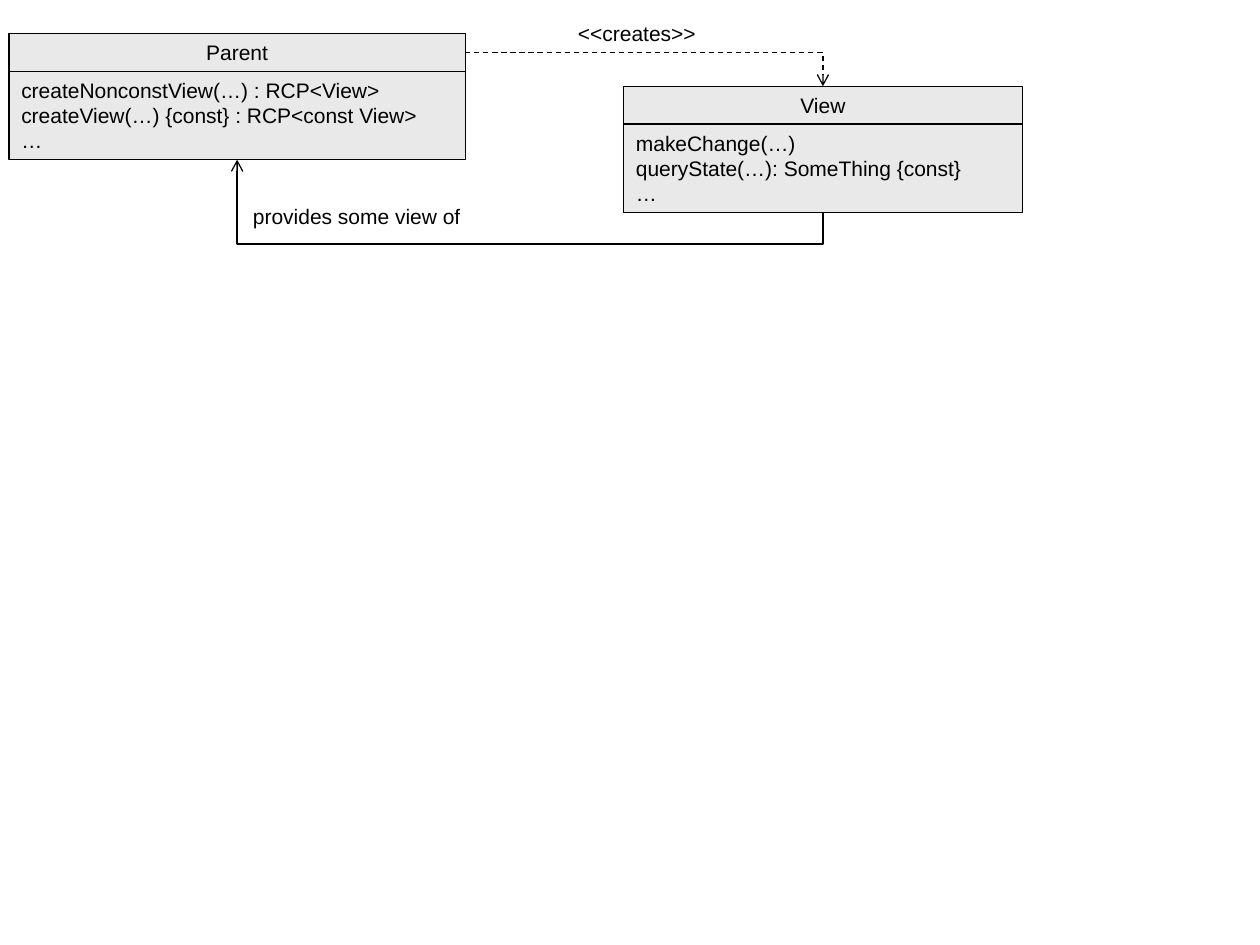
import pptx
import pptx.dml.color
import pptx.enum.dml
import pptx.enum.shapes
import pptx.enum.text
import pptx.oxml.ns
import pptx.util
import lxml.etree

Cm = pptx.util.Cm
Pt = pptx.util.Pt
qn = pptx.oxml.ns.qn
ALIGN = pptx.enum.text.PP_ALIGN
ANCHOR = pptx.enum.text.MSO_ANCHOR
SHAPES = pptx.enum.shapes.MSO_SHAPE
COLOURS = {"ink": "000000", "panel": "E9E9E9"}
FONT = {"name": "Arial", "size": Pt(12)}
TITLE_HEIGHT = Cm(0.76)
BODY_HEIGHT = Cm(1.78)
TOP, LEFT, BOTTOM, RIGHT = range(4)


def colour(name):
    return pptx.dml.color.RGBColor.from_string(COLOURS[name])


def write(box, lines, align, anchor, wrap=True, space_after=0):
    frame = box.text_frame
    settings = {
        "word_wrap": wrap,
        "vertical_anchor": anchor,
        "auto_size": pptx.enum.text.MSO_AUTO_SIZE.SHAPE_TO_FIT_TEXT,
    }
    for name, value in settings.items():
        setattr(frame, name, value)
    for index, line in enumerate(lines):
        para = frame.add_paragraph() if index else frame.paragraphs[0]
        para.alignment = align
        para.space_after = Pt(space_after)
        span = para.add_run()
        span.text = line
        for name, value in FONT.items():
            setattr(span.font, name, value)
        span.font.color.rgb = colour("ink")


def add_panel(page, left, top, width, height, lines, align, anchor):
    panel = page.shapes.add_shape(SHAPES.RECTANGLE, left, top, width, height)
    panel.shadow.inherit = False
    panel.fill.solid()
    panel.fill.fore_color.rgb = colour("panel")
    panel.line.color.rgb = colour("ink")
    panel.line.width = Pt(0.75)
    write(panel, lines, align, anchor)
    return panel


def add_class(page, left, top, width, title, members):
    body = add_panel(page, left, top + TITLE_HEIGHT, width, BODY_HEIGHT,
                     members, ALIGN.LEFT, ANCHOR.TOP)
    heading = add_panel(page, left, top, width, TITLE_HEIGHT,
                        [title], ALIGN.CENTER, ANCHOR.MIDDLE)
    return heading, body


def add_label(page, left, top, width, text, align):
    label = page.shapes.add_textbox(left, top, width, TITLE_HEIGHT)
    write(label, [text], align, ANCHOR.TOP, wrap=False, space_after=7.5)


def add_elbow(page, source, source_side, target, target_side):
    elbow = page.shapes.add_connector(
        pptx.enum.shapes.MSO_CONNECTOR.ELBOW, 0, 0, 0, 0)
    elbow.begin_connect(source, source_side)
    elbow.end_connect(target, target_side)
    elbow.line.color.rgb = colour("ink")
    elbow.line.width = Pt(0.75)
    lxml.etree.SubElement(elbow._element.spPr, qn("a:effectLst"))
    return elbow


def add_arrowhead(elbow):
    line = elbow._element.spPr.find(qn("a:ln"))
    lxml.etree.SubElement(line, qn("a:tailEnd"), type="arrow")


def add_creates_arrow(page, source, target):
    elbow = add_elbow(page, source, RIGHT, target, TOP)
    elbow.line.dash_style = pptx.enum.dml.MSO_LINE.DASH
    elbow._element.spPr.find(qn("a:prstGeom")).set("prst", "bentConnector2")
    add_arrowhead(elbow)


def add_view_arrow(page, source, target, drop):
    elbow = add_elbow(page, source, BOTTOM, target, BOTTOM)
    across, rise = elbow.width, elbow.height
    middle_x = elbow.left + across // 2
    middle_y = elbow.top + rise // 2
    place = {"left": middle_x - rise // 2, "top": middle_y - across // 2,
             "width": rise, "height": across}
    for name, value in place.items():
        setattr(elbow, name, value)
    transform = elbow._element.spPr.find(qn("a:xfrm"))
    transform.attrib.clear()
    transform.set("rot", str(270 * 60000))
    transform.set("flipV", "1")
    guides = elbow._element.spPr.find(qn("a:prstGeom")).find(qn("a:avLst"))
    bend = round(-100000 * drop / rise)
    lxml.etree.SubElement(guides, qn("a:gd"), name="adj1", fmla=f"val {bend}")
    add_arrowhead(elbow)


def main():
    deck = pptx.Presentation()
    deck.slide_width = Cm(25.4)
    deck.slide_height = Cm(19.05)
    page = deck.slides.add_slide(deck.slide_layouts[6])

    parent_title, parent_body = add_class(
        page, Cm(0.18), Cm(0.68), Cm(9.2), "Parent",
        ["createNonconstView(…) : RCP<View>",
         "createView(…) {const} : RCP<const View>", "…"])
    view_title, view_body = add_class(
        page, Cm(12.57), Cm(1.74), Cm(8.04), "View",
        ["makeChange(…)", "queryState(…): SomeThing {const}", "…"])

    add_creates_arrow(page, parent_title, view_title)
    add_view_arrow(page, view_body, parent_body, Cm(0.64))
    add_label(page, Cm(11.24), Cm(0.28), Cm(3.2), "<<creates>>", ALIGN.CENTER)
    add_label(page, Cm(4.85), Cm(3.97), Cm(4.8), "provides some view of", ALIGN.LEFT)

    deck.save("out.pptx")


if __name__ == "__main__":
    main()
